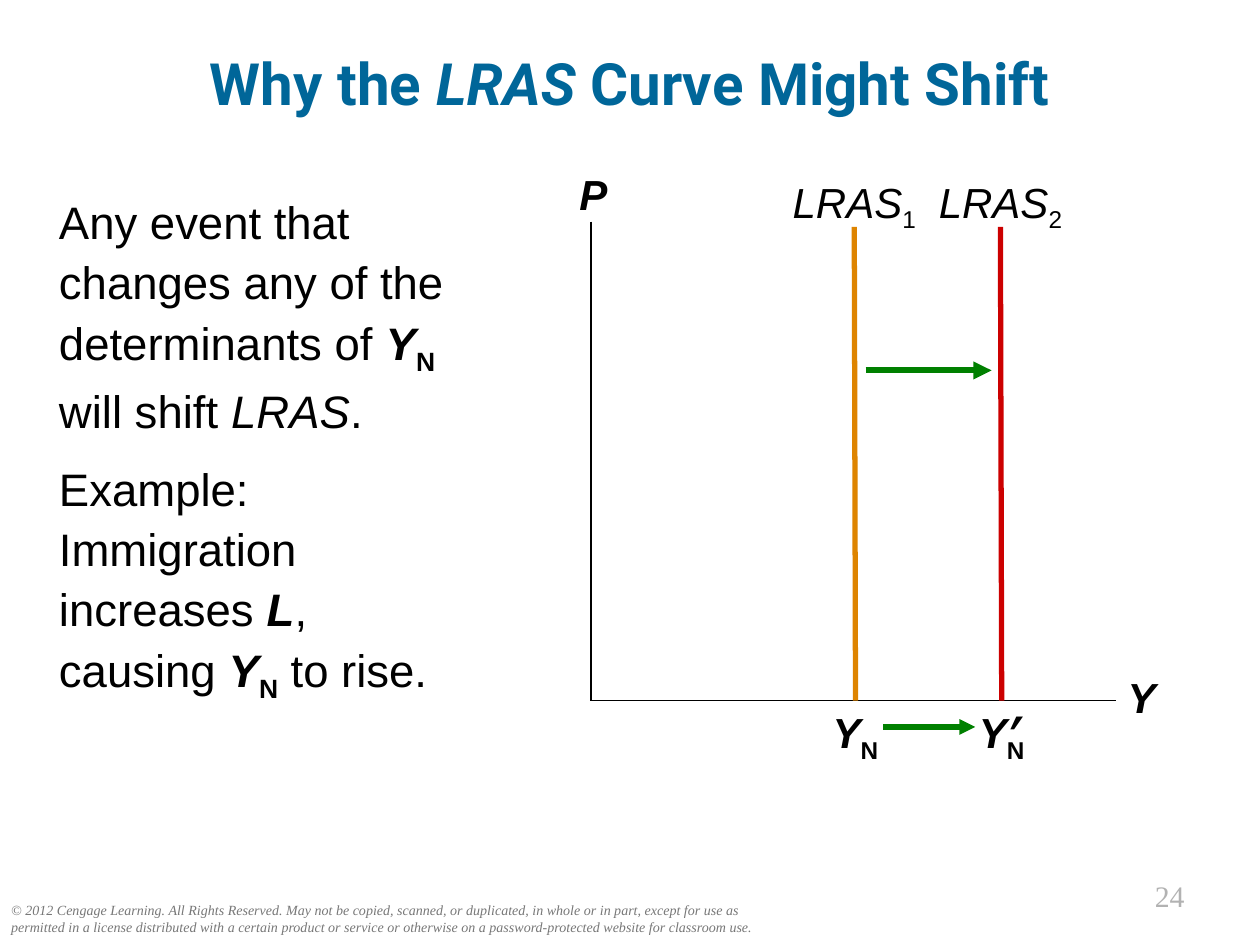
from lxml.etree import SubElement
from pptx import Presentation
from pptx.dml.color import RGBColor
from pptx.enum.shapes import MSO_CONNECTOR
from pptx.enum.text import MSO_ANCHOR, PP_ALIGN
from pptx.oxml.ns import qn
from pptx.util import Inches, Pt

BLACK = RGBColor(0, 0, 0)
BLUE = RGBColor(0x00, 0x66, 0x99)
GREY = RGBColor(0x77, 0x77, 0x77)
SILVER = RGBColor(0xB2, 0xB2, 0xB2)
ORANGE = RGBColor(0xDE, 0x84, 0x00)
RED = RGBColor(0xCC, 0x00, 0x00)
GREEN = RGBColor(0x00, 0x80, 0x00)


def add_text(slide, box, paras, size, font="Arial", color=BLACK,
             align=PP_ALIGN.LEFT, inset=True):
    """Each paragraph is a list of (text, style); style holds b, i and s (subscript)."""
    frame = slide.shapes.add_textbox(*map(Inches, box)).text_frame
    frame.word_wrap = True
    if not inset:
        frame.margin_left = frame.margin_right = 0
        frame.margin_top = frame.margin_bottom = 0
    for n, runs in enumerate(paras):
        para = frame.add_paragraph() if n else frame.paragraphs[0]
        para.alignment = align
        para.font.size, para.font.name = Pt(size), font
        para.font.color.rgb = color
        for text, style in runs:
            # A vertical tab stands for a line break inside the paragraph
            for k, part in enumerate(text.split("\v")):
                if k:
                    para.add_line_break()
                if not part:
                    continue
                run = para.add_run()
                run.text = part
                run.font.size, run.font.name = Pt(size), font
                run.font.color.rgb = color
                run.font.bold = "b" in style
                run.font.italic = "i" in style
                if "s" in style:
                    run.font._element.set("baseline", "-25000")
    return frame


def add_line(slide, start, end, color, width, arrow=False):
    line = slide.shapes.add_connector(
        MSO_CONNECTOR.STRAIGHT, *map(Inches, (*start, *end)))
    line.line.color.rgb = color
    line.line.width = Pt(width)
    if arrow:
        SubElement(line.line._get_or_add_ln(), qn("a:tailEnd"), type="triangle")
    SubElement(line._element.spPr, qn("a:effectLst"))


def add_title(slide, box):
    runs = [("Why the ", "b"), ("LRAS ", "bi"), ("Curve Might Shift", "b")]
    frame = add_text(slide, box, [runs], 33.3, "Roboto", BLUE, PP_ALIGN.CENTER)
    frame.vertical_anchor = MSO_ANCHOR.MIDDLE


def add_body(slide, box):
    event = [("Any event that changes any of the determinants of ", ""),
             ("Y", "bi"), ("N", "bs"), (" will shift ", ""),
             ("LRAS", "i"), (".", "")]
    example = [("Example:\vImmigration\vincreases ", ""), ("L", "bi"),
               (",\vcausing ", ""), ("Y", "bi"), ("N", "bs"), (" to rise.", "")]
    frame = add_text(slide, box, [event, example], 26)
    for para in frame.paragraphs:
        para.line_spacing = 1.1
    frame.paragraphs[1].space_before = Pt(10.4)


def add_graph(slide, left, top, wide, high):
    base = top + high

    def label(x, y, width, runs, inset=True, font="Arial"):
        box = (x - width / 2, y, width, 0.5 if inset else 0.4)
        add_text(slide, box, [runs], 24, font, align=PP_ALIGN.CENTER, inset=inset)

    # Axes
    add_line(slide, (left, top), (left, base), BLACK, 1)
    add_line(slide, (left, base), (left + wide, base), BLACK, 1)
    label(left + 0.02, top - 0.47, 0.46, [("P", "bi")])
    label(left + wide + 0.2, base - 0.28, 0.5, [("Y", "bi")])

    # Supply curves, each with its name above and its output below
    old, new = left + 2.09, left + 3.25
    for x, color, num in ((old, ORANGE, "1"), (new, RED, "2")):
        add_line(slide, (x, top + 0.04), (x + 0.01, base), color, 3)
        label(x, top - 0.41, 1.29, [("LRAS", "i"), (num, "s")])
        label(x + 0.01, base + 0.05, 0.56, [("Y", "bi"), ("N", "bs")], False)
    label(new + 0.11, base + 0.04, 0.29, [("’", "bi")], False, "Courier New")

    # Shift arrows
    add_line(slide, (old + 0.23, base + 0.21), (new - 0.2, base + 0.21),
             GREEN, 3, True)
    add_line(slide, (old + 0.09, top + 1.18), (new - 0.07, top + 1.18),
             GREEN, 3.5, True)


def add_footer(slide, note, number):
    text = ("© 2012 Cengage Learning. All Rights Reserved. May not be copied, "
            "scanned, or duplicated, in whole or in part, except for use as "
            "permitted in a license distributed with a certain product or "
            "service or otherwise on a password-protected website for "
            "classroom use.")
    serif = "Times New Roman"
    add_text(slide, note, [[(text, "i")]], 8, serif, GREY)
    add_text(slide, number, [[("24", "")]], 17, serif, SILVER, PP_ALIGN.RIGHT)


def main():
    deck = Presentation()
    deck.slide_width, deck.slide_height = Inches(10), Inches(7.5)
    slide = deck.slides.add_slide(deck.slide_layouts[6])
    add_footer(slide, (-0.01, 7.11, 6.18, 0.37), (8.25, 6.92, 1.25, 0.39))
    add_title(slide, (0, 0.3, 10, 0.71))
    add_body(slide, (0.37, 1.45, 3.74, 5.4))
    add_graph(slide, 4.69, 1.76, 4.17, 3.8)
    deck.save("out.pptx")


if __name__ == "__main__":
    main()
